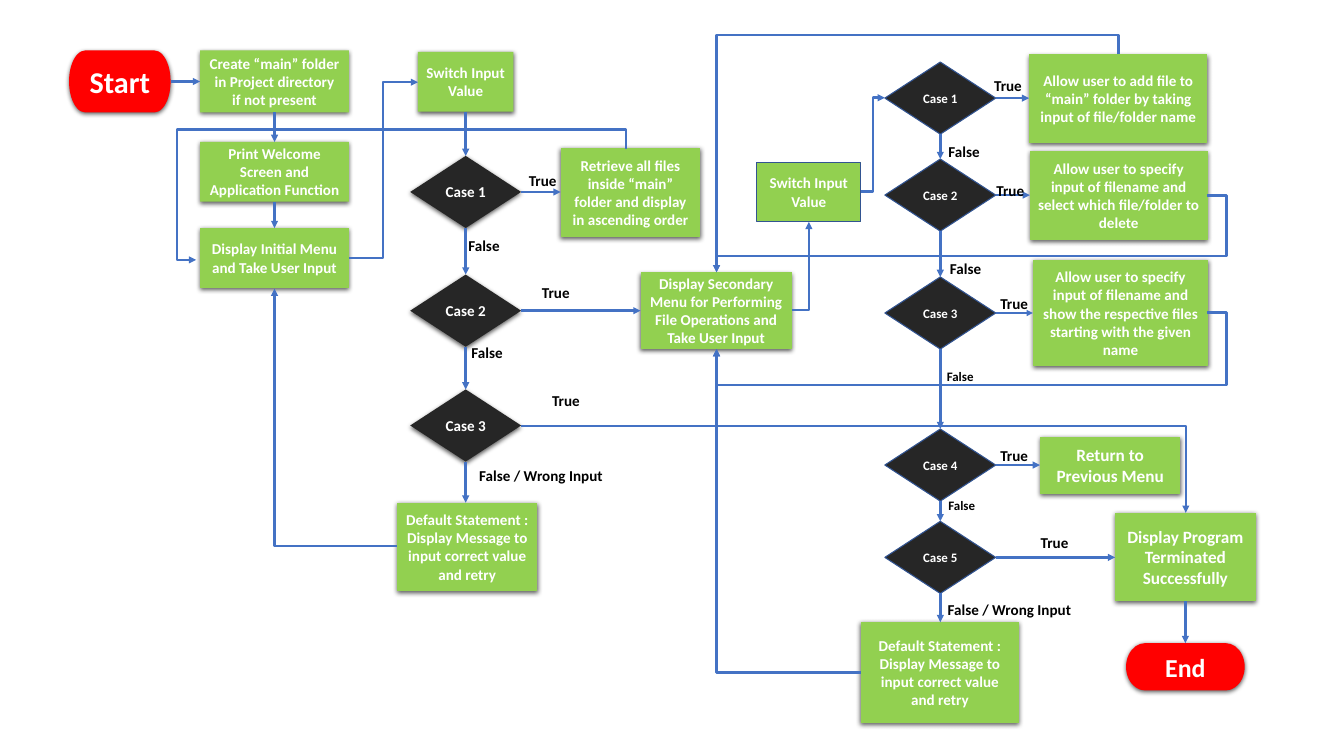
from dataclasses import dataclass

from lxml import etree
from pptx import Presentation
from pptx import util as u
from pptx.dml import color
from pptx.enum import shapes, text
from pptx.oxml import ns

HUES = {"step": "92D050", "test": "262626", "cap": "FF0000", "line": "4472C4",
        "edge": "325491", "light": "FFFFFF", "dark": "000000"}
KIND = shapes.MSO_SHAPE
FORMS = {"rect": (KIND.RECTANGLE, "step"), "step": (KIND.FLOWCHART_PROCESS, "step"),
         "test": (KIND.FLOWCHART_DECISION, "test"), "cap": (KIND.FLOWCHART_TERMINATOR, "cap")}
FONT = "Calibri"
WIDTHS = {"True": 0.56, "False": 0.61, "False / Wrong Input": 1.81}


@dataclass
class Node:
    """One box of the flow chart; lengths in inches."""
    form: str
    words: str
    left: float
    top: float
    wide: float
    high: float
    size: int = 14
    edged: bool = False

    @property
    def mid(self) -> tuple[float, float]:
        """Centre of the box."""
        return self.left + self.wide / 2, self.top + self.high / 2


@dataclass
class Link:
    """A straight arrow between two nodes."""
    first: str
    last: str
    down: bool = False
    width: float = 2.25


@dataclass
class Label:
    """An answer beside an arrow."""
    words: str
    left: float
    top: float
    size: int = 14


RETRY = "Default Statement : Display Message to input correct value and retry"
NODES = {
    "start": Node("cap", "Start", 0.89, 0.65, 1.31, 0.8, 28),
    "end": Node("cap", "End", 14.52, 8.29, 1.53, 0.61, 24),
    "make": Node("rect", "Create “main” folder in Project directory\nif not present",
                 2.58, 0.65, 1.92, 0.8),
    "greet": Node("rect", "Print Welcome Screen and Application Function",
                  2.58, 1.83, 1.92, 0.77),
    "menu": Node("rect", "Display Initial Menu and Take User Input", 2.58, 2.94, 1.92, 0.77),
    "switch": Node("rect", "Switch Input\nValue", 5.39, 0.67, 1.23, 0.77),
    "list": Node("step", "Retrieve all files inside “main” folder and display in ascending order",
                 7.23, 1.91, 1.8, 1.14),
    "retry": Node("step", RETRY, 5.12, 6.48, 1.81, 1.14),
    "submenu": Node("step", "Display Secondary Menu for Performing File Operations "
                    "and Take User Input", 8.26, 3.51, 1.95, 0.99),
    "subswitch": Node("rect", "Switch Input\nValue", 9.76, 2.09, 1.34, 0.77, edged=True),
    "add": Node("step", "Allow user to add file to “main” folder by taking input of "
                "file/folder name", 13.27, 0.7, 2.3, 1.14),
    "erase": Node("step", "Allow user to specify input of filename and select which "
                  "file/folder to delete", 13.28, 1.95, 2.29, 1.14),
    "show": Node("step", "Allow user to specify input of filename and show the respective "
                 "files starting with the given name", 13.32, 3.35, 2.26, 1.37),
    "back": Node("step", "Return to Previous Menu", 13.41, 5.63, 1.81, 0.74, 16),
    "done": Node("step", "Display Program Terminated Successfully",
                 14.38, 6.61, 1.81, 1.14, 16),
    "subretry": Node("step", RETRY, 11.1, 8.02, 2.04, 1.3),
}
for num, top in enumerate((2.01, 3.54, 5.02), 1):
    NODES[f"case{num}"] = Node("test", f"Case {num}", 5.29, top, 1.43, 0.93)
for num, top in enumerate((0.8, 2.05, 3.57, 5.53, 6.72), 1):
    NODES[f"sub{num}"] = Node("test", f"Case {num}", 11.41, top, 1.43, 0.93, 12, True)

CHAINS = (("make", "greet", "menu"), ("switch", "case1", "case2", "case3", "retry"),
          ("sub1", "sub2", "sub3", "sub4", "sub5", "subretry"), ("done", "end"))
LINKS = [Link(first, last, True) for chain in CHAINS for first, last in zip(chain, chain[1:])]
LINKS += [Link("start", "make"), Link("case1", "list"), Link("case2", "submenu"),
          Link("sub1", "add"), Link("sub2", "erase"), Link("sub3", "show", width=1.5),
          Link("sub4", "back"), Link("sub5", "done")]

ROUTES = (
    ((4.5, 3.33), (4.94, 3.33), (4.94, 1.06), (5.39, 1.06)),
    ((5.12, 7.04), (3.54, 7.04), (3.54, 3.72)),
    ((6.72, 5.49), (15.29, 5.49), (15.29, 6.61)),
    ((11.1, 2.47), (11.26, 2.47), (11.26, 1.26), (11.41, 1.26)),
    ((11.1, 8.67), (9.24, 8.67), (9.24, 4.5)),
    ((8.07, 1.92), (8.07, 1.67), (2.28, 1.67), (2.28, 3.35), (2.53, 3.35)),
    ((10.21, 4), (10.43, 4), (10.43, 2.86)),
    ((15.57, 4.03), (15.82, 4.03), (15.82, 4.96), (9.24, 4.96), (9.24, 4.5)),
    ((15.57, 2.52), (15.82, 2.52), (15.82, 3.3), (9.24, 3.3), (9.24, 3.51)),
    ((14.42, 0.7), (14.42, 0.45), (9.24, 0.45), (9.24, 3.51)),
)

LABELS = [Label("True", *spot) for spot in (
    (6.72, 2.16), (7.02, 4.99), (6.89, 3.6), (12.72, 0.93), (12.75, 2.29),
    (12.8, 3.75), (12.8, 5.71), (13.32, 6.83))]
LABELS += [Label("False", *spot) for spot in (
    (5.94, 3), (5.98, 4.38), (12.13, 1.79), (12.15, 3.3), (12.11, 4.7, 12), (12.13, 6.36, 12))]
LABELS += [Label("False / Wrong Input", *spot) for spot in ((12.12, 7.69), (6.08, 5.96))]


def hue(name: str) -> color.RGBColor:
    """Look up a colour."""
    return color.RGBColor.from_string(HUES[name])


def child(parent, tag: str, **attrs: str):
    """Append a drawing element."""
    return etree.SubElement(parent, ns.qn(f"a:{tag}"), attrs)


def write(frame, words: str, size: int, tone: str, align) -> None:
    """Fill a text frame with bold paragraphs."""
    frame.text = words
    for para in frame.paragraphs:
        para.alignment = align
        para.font.name, para.font.size, para.font.bold = FONT, u.Pt(size), True
        para.font.color.rgb = hue(tone)


def draw_node(slide, node: Node) -> None:
    """Draw a box with an edge or a soft shadow."""
    kind, tone = FORMS[node.form]
    box = slide.shapes.add_shape(
        kind, *map(u.Inches, (node.left, node.top, node.wide, node.high)))
    box.fill.solid()
    box.fill.fore_color.rgb = hue(tone)
    box.shadow.inherit = False
    if node.edged:
        box.line.color.rgb, box.line.width = hue("edge"), u.Pt(1)
    else:
        box.line.fill.background()
        glow = child(box._element.spPr.find(ns.qn("a:effectLst")), "outerShdw",
                     blurRad="57150", dist="19050", dir="5400000",
                     algn="ctr", rotWithShape="0")
        child(child(glow, "srgbClr", val=HUES["dark"]), "alpha", val="63000")
    box.text_frame.vertical_anchor = text.MSO_ANCHOR.MIDDLE
    write(box.text_frame, node.words, node.size, "light", text.PP_ALIGN.CENTER)


def draw_route(slide, points, width: float = 2.25) -> None:
    """Draw an arrow along points joined at right angles."""
    (x1, y1), (x2, y2) = points[0], points[-1]
    bends = len(points) - 2
    wide, high = x2 - x1, y2 - y1
    turned = bends > 0 and points[1][0] == x1
    ends = (x1, y1, x2, y2)
    if turned:
        midx, midy = (x1 + x2) / 2, (y1 + y2) / 2
        ends = (midx + high / 2, midy - wide / 2, midx - high / 2, midy + wide / 2)
    kind = shapes.MSO_CONNECTOR.ELBOW if bends else shapes.MSO_CONNECTOR.STRAIGHT
    arrow = slide.shapes.add_connector(kind, *map(u.Inches, ends))
    arrow.line.color.rgb, arrow.line.width = hue("line"), u.Pt(width)
    props = arrow._element.spPr
    child(props.find(ns.qn("a:ln")), "tailEnd", type="triangle")
    child(props, "effectLst")
    if not bends:
        return
    if turned:
        props.find(ns.qn("a:xfrm")).set("rot", str(270 * 60000))
    shape = props.find(ns.qn("a:prstGeom"))
    shape.set("prst", f"bentConnector{bends + 1}")
    guides = shape.find(ns.qn("a:avLst"))
    if guides is None:
        guides = child(shape, "avLst")
    for num in range(1, bends):
        across = (num % 2 == 1) != turned
        part = (points[num][0] - x1) / wide if across else (points[num][1] - y1) / high
        child(guides, "gd", name=f"adj{num}", fmla=f"val {round(part * 100000)}")


def draw_link(slide, link: Link) -> None:
    """Join facing sides of two nodes along the first one's axis."""
    first, last = NODES[link.first], NODES[link.last]
    midx, midy = first.mid
    if link.down:
        points = ((midx, first.top + first.high), (midx, last.top))
    else:
        points = ((first.left + first.wide, midy), (last.left, midy))
    draw_route(slide, points, link.width)


def draw_label(slide, label: Label) -> None:
    """Write an answer on a single line."""
    high = 0.34 if label.size == 14 else 0.3
    box = slide.shapes.add_textbox(
        *map(u.Inches, (label.left, label.top, WIDTHS[label.words], high)))
    box.text_frame.word_wrap = False
    write(box.text_frame, label.words, label.size, "dark", text.PP_ALIGN.LEFT)


deck = Presentation()
deck.slide_width, deck.slide_height = u.Inches(17.33), u.Inches(9.5)
page = deck.slides.add_slide(deck.slide_layouts[6])
for item in NODES.values():
    draw_node(page, item)
for item in LINKS:
    draw_link(page, item)
for item in ROUTES:
    draw_route(page, item)
for item in LABELS:
    draw_label(page, item)
deck.save("out.pptx")
